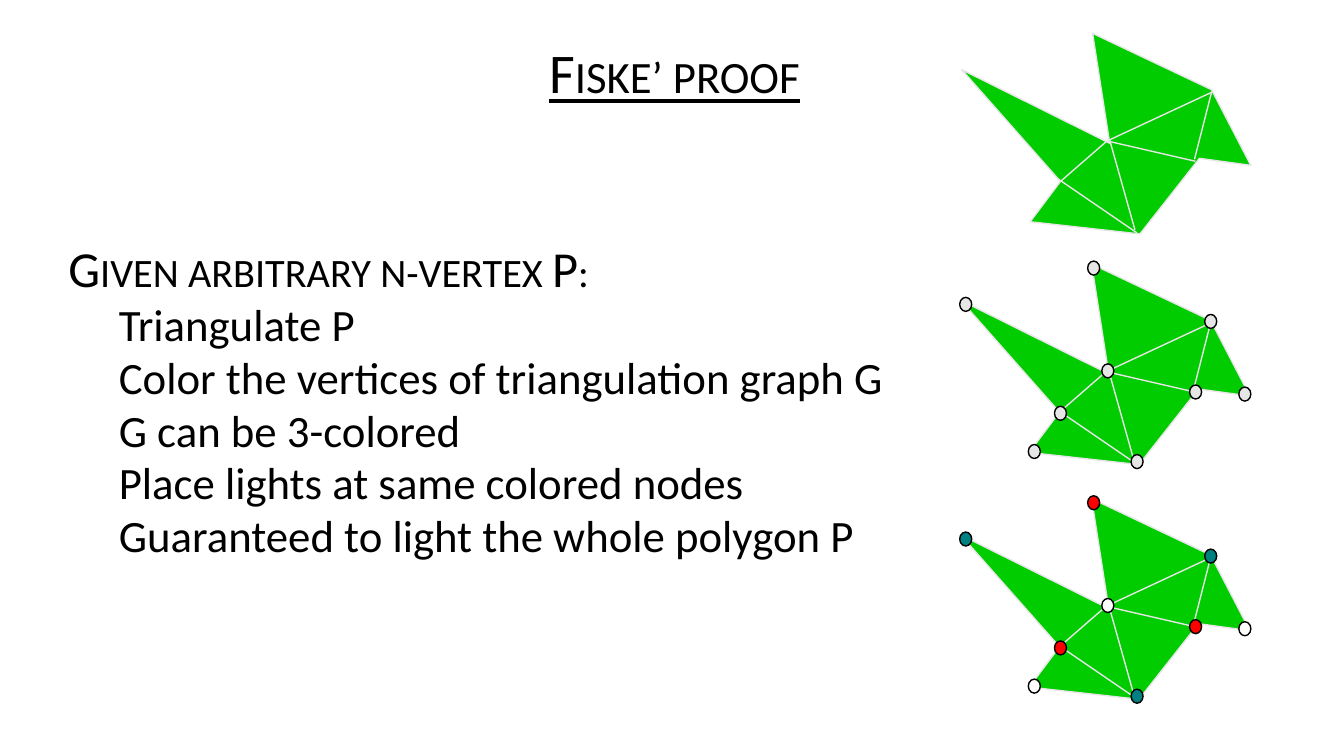
"""Build the slide on the triangulation and 3-colouring proof."""
from lxml.etree import SubElement
from pptx import Presentation
from pptx.dml.color import RGBColor
from pptx.enum.shapes import MSO_CONNECTOR, MSO_SHAPE
from pptx.enum.text import MSO_ANCHOR, PP_ALIGN
from pptx.oxml.ns import qn
from pptx.util import Pt

BLACK = RGBColor(0x00, 0x00, 0x00)
WHITE = RGBColor(0xFF, 0xFF, 0xFF)
GREY = RGBColor(0xE7, 0xE6, 0xE6)
GREEN = RGBColor(0x00, 0xCC, 0x00)
RED = RGBColor(0xFF, 0x00, 0x00)
TEAL = RGBColor(0x00, 0x80, 0x80)

deck = Presentation()
deck.slide_width, deck.slide_height = Pt(960), Pt(540)
slide = deck.slides.add_slide(deck.slide_layouts[6])


def write(paragraph, text, size, align=PP_ALIGN.LEFT, margin=0, spacing=0.98,
          underline=False, small_caps=False):
    """Put one formatted run into a paragraph."""
    paragraph.alignment = align
    paragraph.line_spacing = spacing
    paragraph._p.get_or_add_pPr().set("marL", str(Pt(margin)))
    run = paragraph.add_run()
    run.text = text
    run.font.name, run.font.size = "Calibri", Pt(size)
    run.font.color.rgb = BLACK
    run.font.underline = underline
    if small_caps:
        run.font._element.set("cap", "small")


def add_frame(left, top, width, height):
    """Add a wrapped, vertically centred text frame."""
    frame = slide.shapes.add_textbox(Pt(left), Pt(top), Pt(width), Pt(height)).text_frame
    frame.word_wrap = True
    frame.vertical_anchor = MSO_ANCHOR.MIDDLE
    return frame


steps = add_frame(5.8, 97, 643.7, 380)
write(steps.paragraphs[0], "Given arbitrary n-vertex P:", 36, margin=36, small_caps=True)
for step in (
    "Triangulate P",
    "Color the vertices of triangulation graph G",
    "G can be 3-colored",
    "Place lights at same colored nodes",
    "Guaranteed to light the whole polygon P",
):
    write(steps.add_paragraph(), step, 32, margin=72)

title = add_frame(127.5, 23, 708.5, 61.2)
write(title.paragraphs[0], "Fiske’ proof", 40, align=PP_ALIGN.CENTER, spacing=0.9,
      underline=True, small_caps=True)

OUTLINE = [(0, 25.9), (105.8, 78.5), (93.6, 0), (178.6, 40.3), (206.6, 94.3),
           (169.9, 89.3), (127.4, 143.3), (49, 134.6), (70.6, 105.8)]
DIAGONALS = [
    (103.7, 77, 179.3, 41.8),
    (178.6, 41.8, 166.3, 90),
    (104.4, 77, 167, 91.4),
    (70.6, 105.8, 103.7, 77),
    (123.8, 140.4, 105.8, 76.3),
    (125.3, 142.6, 68.4, 103.7),
]
NODES = [(95, 2.9), (178.6, 41), (203, 92.9), (167.8, 91.4), (105.1, 76.3),
         (3.6, 28.8), (71.3, 106.6), (52.6, 133.9), (126, 141.1)]
THREE_COLORS = [RED, TEAL, WHITE, RED, WHITE, TEAL, RED, WHITE, TEAL]
NODE_WIDTH, NODE_HEIGHT = 8.6, 10

for left, top, node_colors in (
    (686.9, 23.8, []),
    (686.2, 188.6, [GREY] * len(NODES)),
    (686.2, 356.2, THREE_COLORS),
):
    figure = slide.shapes.add_group_shape().shapes
    corners = [(Pt(left + x), Pt(top + y)) for x, y in OUTLINE]
    builder = figure.build_freeform(*corners[0])
    builder.add_line_segments(corners[1:], close=True)
    polygon = builder.convert_to_shape()
    polygon.shadow.inherit = False
    polygon.fill.solid()
    polygon.fill.fore_color.rgb = GREEN
    polygon.line.color.rgb = GREY
    polygon.line.width = Pt(1)

    for x1, y1, x2, y2 in DIAGONALS:
        diagonal = figure.add_connector(MSO_CONNECTOR.STRAIGHT, Pt(left + x1), Pt(top + y1),
                                        Pt(left + x2), Pt(top + y2))
        diagonal.line.color.rgb = GREY
        diagonal.line.width = Pt(1)
        SubElement(diagonal._element.spPr, qn("a:effectLst"))

    for (x, y), color in zip(NODES, node_colors):
        node = figure.add_shape(MSO_SHAPE.OVAL, Pt(left + x - NODE_WIDTH / 2),
                                Pt(top + y - NODE_HEIGHT / 2), Pt(NODE_WIDTH), Pt(NODE_HEIGHT))
        node.shadow.inherit = False
        node.fill.solid()
        node.fill.fore_color.rgb = color
        node.line.color.rgb = BLACK
        node.line.width = Pt(1)

deck.save("out.pptx")
